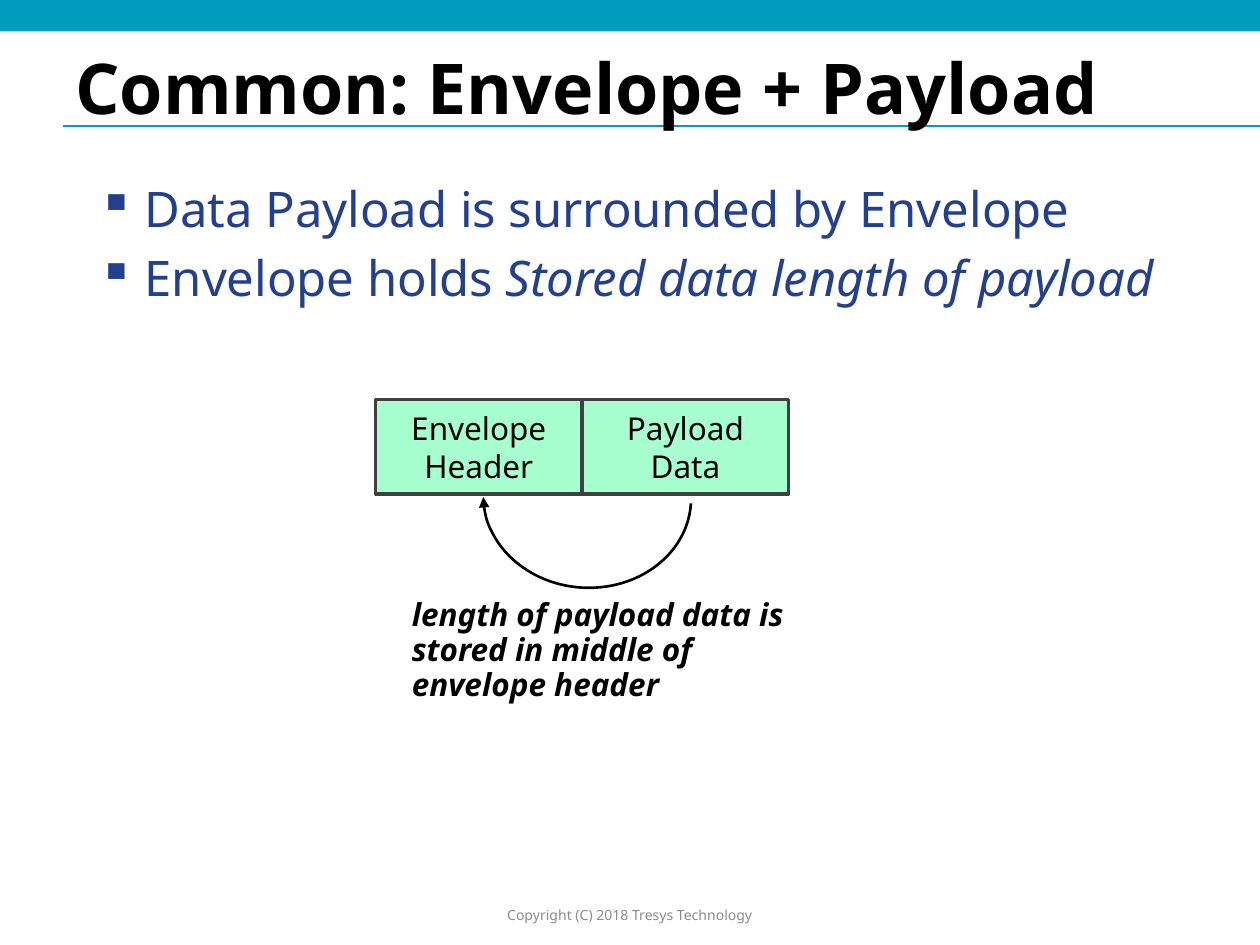
from lxml.etree import SubElement
from pptx import Presentation
from pptx.dml.color import RGBColor
from pptx.enum.shapes import MSO_CONNECTOR, MSO_SHAPE
from pptx.enum.text import MSO_ANCHOR, PP_ALIGN
from pptx.oxml.ns import qn
from pptx.util import Inches, Pt

FONT = "Noto Sans"
COLORS = {
    "teal": "009DBF",
    "navy": "23408F",
    "black": "000000",
    "mint": "A7FFCF",
    "border": "404040",
    "gray": "8C8C8C",
}


def rgb(name):
    return RGBColor.from_string(COLORS[name])


def box(*lengths):
    return [Inches(n) for n in lengths]


def style(font, size, color, bold=None, italic=None):
    font.name = FONT
    font.size = Pt(size)
    font.color.rgb = rgb(color)
    font.bold = bold
    font.italic = italic


def add_text(slide, at, text, size, color, bold=None, italic=None,
             align=PP_ALIGN.LEFT, anchor=MSO_ANCHOR.TOP, spacing=None):
    tf = slide.shapes.add_textbox(*box(*at)).text_frame
    tf.word_wrap = True
    tf.vertical_anchor = anchor
    tf.text = text
    p = tf.paragraphs[0]
    p.alignment = align
    p.line_spacing = spacing
    style(p.runs[0].font, size, color, bold, italic)


def add_bullets(slide, at, items):
    tf = slide.shapes.add_textbox(*box(*at)).text_frame
    tf.word_wrap = True
    for i, runs in enumerate(items):
        p = tf.add_paragraph() if i else tf.paragraphs[0]
        if i:
            p.space_before = Pt(5.6)
        pPr = p._p.get_or_add_pPr()
        pPr.set("marL", str(Inches(0.38)))
        pPr.set("indent", str(Inches(-0.37)))
        SubElement(pPr, qn("a:buChar"), char="▪")
        for text, italic in runs:
            r = p.add_run()
            r.text = text
            style(r.font, 28, "navy", italic=italic)


def add_bar(slide, at, color):
    s = slide.shapes.add_shape(MSO_SHAPE.RECTANGLE, *box(*at))
    s.shadow.inherit = False
    s.fill.solid()
    s.fill.fore_color.rgb = rgb(color)
    s.line.fill.background()
    return s


def add_block(slide, at, text):
    s = add_bar(slide, at, "mint")
    s.line.color.rgb = rgb("border")
    s.line.width = Pt(2)
    tf = s.text_frame
    tf.word_wrap = True
    tf.vertical_anchor = MSO_ANCHOR.MIDDLE
    tf.text = text
    for p in tf.paragraphs:
        p.alignment = PP_ALIGN.CENTER
        style(p.runs[0].font, 18, "black")


def add_rule(slide, ends, color):
    c = slide.shapes.add_connector(MSO_CONNECTOR.STRAIGHT, *box(*ends))
    c.line.color.rgb = rgb(color)
    c.line.width = Pt(0.75)
    SubElement(c._element.spPr, qn("a:effectLst"))


def add_arc_arrow(slide, at, rotation, start, end):
    s = slide.shapes.add_shape(MSO_SHAPE.ARC, *box(*at))
    s.shadow.inherit = False
    s.rotation = rotation
    for i, degrees in enumerate((start, end)):
        s.adjustments[i] = degrees * 0.6
    s.fill.background()
    s.line.color.rgb = rgb("black")
    s.line.width = Pt(1.5)
    SubElement(s.line._get_or_add_ln(), qn("a:tailEnd"), type="triangle")


def main():
    prs = Presentation()
    prs.slide_width, prs.slide_height = box(10, 7.5)
    slide = prs.slides.add_slide(prs.slide_layouts[6])

    add_rule(slide, (0.5, 1, 10, 1), "teal")
    add_bar(slide, (0, 0, 10, 0.25), "teal")
    add_text(slide, (0.5, 0.38, 9, 0.62), "Common: Envelope + Payload", 40,
             "black", bold=True, anchor=MSO_ANCHOR.MIDDLE)
    add_bullets(slide, (0.67, 1.37, 9, 5.25), [
        [("Data Payload is surrounded by Envelope", None)],
        [("Envelope holds ", None), ("Stored data length of payload", True)],
    ])

    left, width = 2.98, 1.64
    for i, text in enumerate(("Envelope Header", "Payload\nData")):
        add_block(slide, (left + i * width, 3.17, width, 0.75), text)
    add_arc_arrow(slide, (3.94, 3.12, 1.44, 1.65), 93.5, 270, 86.48)
    add_text(slide, (3.17, 4.7, 3.42, 0.95),
             "length of payload data is stored in middle of envelope header",
             18, "black", bold=True, italic=True, spacing=0.93)
    add_text(slide, (3.31, 7.17, 3.38, 0.18),
             "Copyright (C) 2018 Tresys Technology", 8, "gray",
             align=PP_ALIGN.CENTER, anchor=MSO_ANCHOR.MIDDLE)
    prs.save("out.pptx")


if __name__ == "__main__":
    main()
